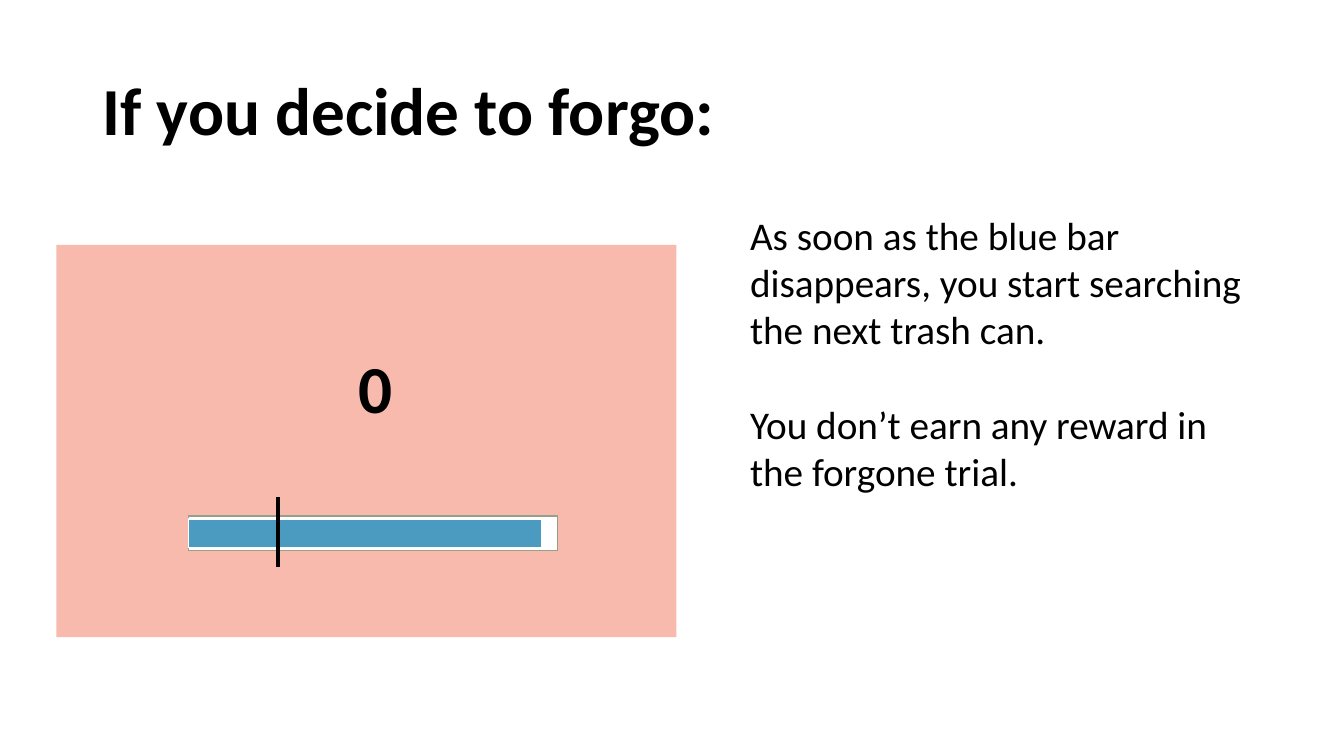
from lxml import etree
from pptx import Presentation
from pptx.dml.color import RGBColor
from pptx.enum.shapes import MSO_CONNECTOR, MSO_SHAPE
from pptx.enum.text import MSO_ANCHOR
from pptx.oxml.ns import qn
from pptx.util import Inches, Pt

RECT = MSO_SHAPE.RECTANGLE
STRAIGHT = MSO_CONNECTOR.STRAIGHT
TOP, MIDDLE = MSO_ANCHOR.TOP, MSO_ANCHOR.MIDDLE


def color(code):
    return RGBColor.from_string(code)


class Slide:
    """Draw the elements of one slide in a shared style."""

    font = "Calibri"
    ink = "000000"

    def __init__(self, deck):
        self.shapes = deck.slides.add_slide(deck.slide_layouts[6]).shapes

    def text(self, box, paras, size, bold=False, anchor=TOP, gap=0, pitch=1.0):
        frame = self.shapes.add_textbox(*map(Inches, box)).text_frame
        frame.word_wrap = True
        frame.vertical_anchor = anchor
        for i, words in enumerate(paras):
            para = frame.add_paragraph() if i else frame.paragraphs[0]
            para.text = words
            para.line_spacing = pitch
            if i:
                para.space_before = Pt(gap)
            font = para.font
            font.name, font.size, font.bold = self.font, Pt(size), bold
            font.color.rgb = color(self.ink)

    def rect(self, box, fill, edge=None):
        shape = self.shapes.add_shape(RECT, *map(Inches, box))
        shape.shadow.inherit = False
        shape.fill.solid()
        shape.fill.fore_color.rgb = color(fill)
        if edge:
            shape.line.color.rgb = color(edge)
            shape.line.width = Pt(1)
        else:
            shape.line.fill.background()

    def line(self, start, end, width):
        line = self.shapes.add_connector(STRAIGHT, *map(Inches, start + end))
        line.line.color.rgb = color(self.ink)
        line.line.width = Pt(width)
        etree.SubElement(line._element.spPr, qn("a:effectLst"))


def main():
    deck = Presentation()
    deck.slide_width, deck.slide_height = Inches(13.33), Inches(7.5)
    slide = Slide(deck)
    slide.text((0.92, 0.4, 11.5, 1.45), ["If you decide to forgo:"], 48,
               bold=True, anchor=MIDDLE, pitch=0.9)
    slide.text((7.34, 2.05, 5.08, 2.93), [
        "As soon as the blue bar disappears, you start searching the next trash can.",
        "You don’t earn any reward in the forgone trial.",
    ], 28, gap=34)
    slide.rect((0.56, 2.43, 6.15, 3.89), "F9BAAE")
    slide.rect((1.87, 5.12, 3.66, 0.34), "FFFFFF", "94A088")
    slide.rect((1.87, 5.15, 3.5, 0.28), "4B9BC1", "FFFFFF")
    slide.line((2.76, 4.93), (2.76, 5.63), 3)
    slide.text((3.46, 3.39, 0.93, 0.91), ["0"], 48, bold=True)
    deck.save("out.pptx")


if __name__ == "__main__":
    main()
